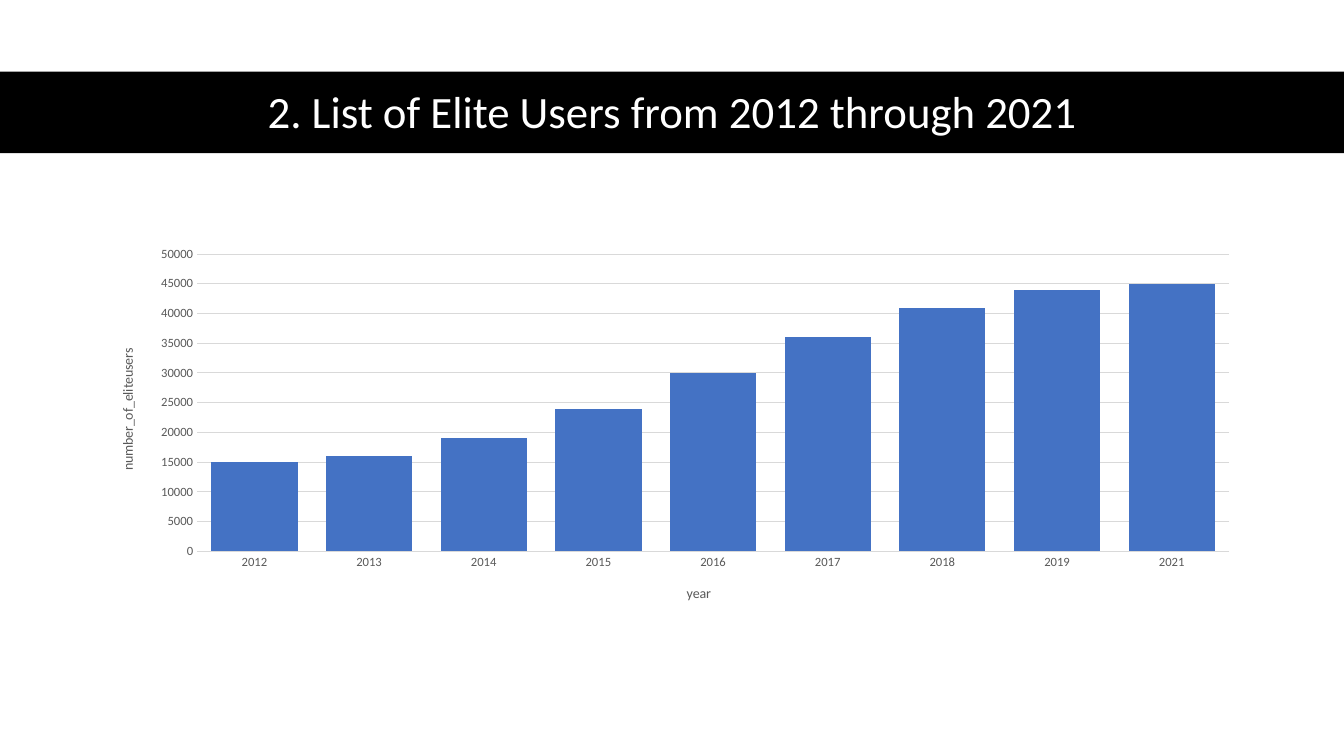
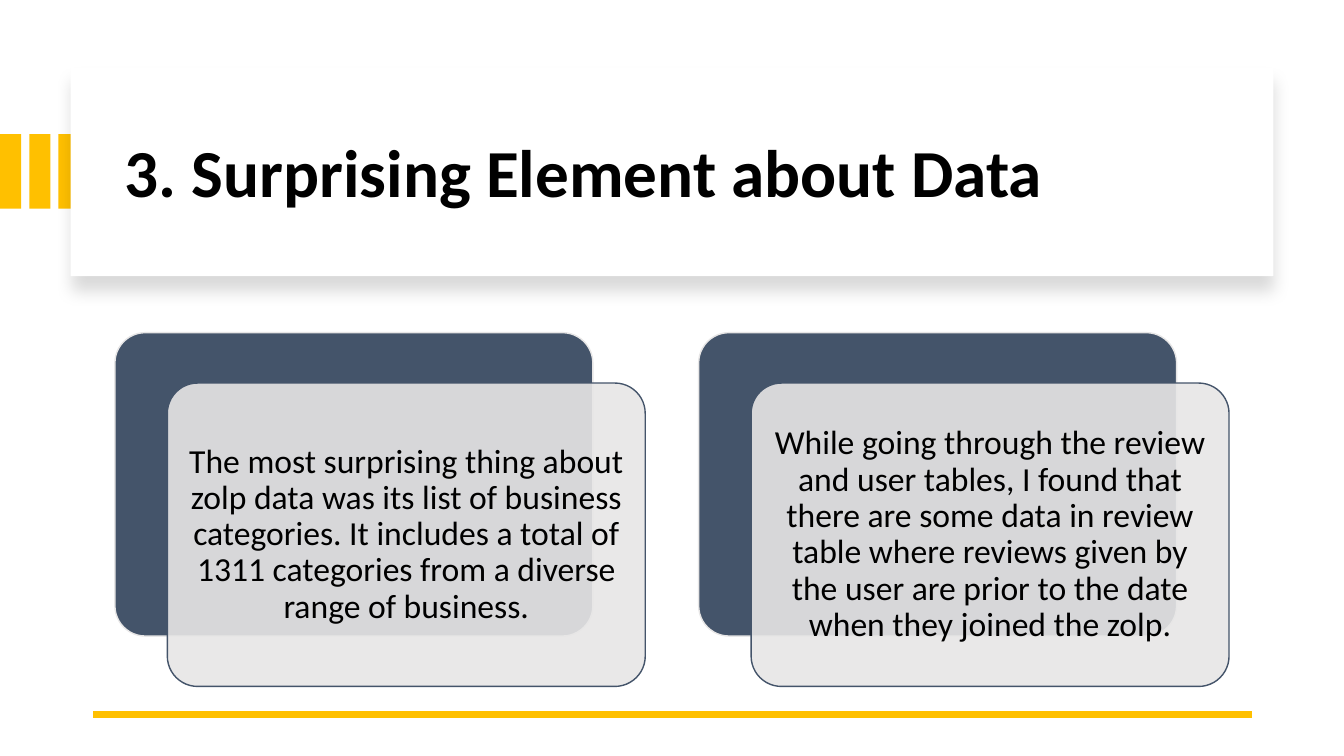
from lxml import etree
from pptx import Presentation
from pptx.chart.data import CategoryChartData as Data
from pptx.dml.color import RGBColor as RGB
from pptx.enum.chart import XL_CHART_TYPE as Kind, XL_TICK_MARK as Tick
from pptx.enum.shapes import MSO_CONNECTOR as Line, MSO_SHAPE as Form
from pptx.enum.text import MSO_ANCHOR as Anchor, PP_ALIGN as Align
from pptx.oxml import parse_xml
from pptx.oxml.ns import nsdecls, qn
from pptx.util import Pt

# Content
ELITE = "2. List of Elite Users from 2012 through 2021"
USERS = [("2012", 15000), ("2013", 16000), ("2014", 19000),
         ("2015", 24000), ("2016", 30000), ("2017", 36000),
         ("2018", 41000), ("2019", 44000), ("2021", 45000)]
SURPRISE = "3. Surprising Element about Data"
FACTS = [
    "The most surprising thing about zolp data was its list of business "
    "categories. It includes a total of 1311 categories from a diverse "
    "range of business.",
    "While going through the review and user tables, I found that there are "
    "some data in review table where reviews given by the user are prior to "
    "the date when they joined the zolp.",
]

# Shared style
FONT = "Calibri"
HUES = {"black": "000000", "white": "FFFFFF", "gold": "FFC000",
        "navy": "44546A", "pale": "E7E6E6", "blue": "4472C4",
        "gray": "595959", "grid": "D9D9D9"}
PX = 9144  # 100 px to the inch
WIDE, HIGH = 1333, 750


def px(*nums):
    return [n * PX for n in nums]


def hue(name):
    return RGB.from_string(HUES[name])


def style(font, size, color, bold=False):
    font.name, font.size, font.bold = FONT, Pt(size), bold
    font.color.rgb = hue(color)


def write(shape, text, size=24, color="black", bold=False,
          align=Align.CENTER, pad=(10, 5)):
    frame = shape.text_frame
    frame.word_wrap = True
    frame.vertical_anchor = Anchor.MIDDLE
    frame.margin_left = frame.margin_right = pad[0] * PX
    frame.margin_top = frame.margin_bottom = pad[1] * PX
    para = frame.paragraphs[0]
    para.alignment, para.line_spacing = align, 0.9
    run = para.add_run()
    run.text = text
    style(run.font, size, color, bold)


def title(slide, box, text, **fmt):
    write(slide.shapes.add_textbox(*px(*box)), text, **fmt)


def block(slide, box, fill, line=None, form=Form.RECTANGLE, alpha=None):
    shape = slide.shapes.add_shape(form, *px(*box))
    shape.shadow.inherit = False
    shape.fill.solid()
    shape.fill.fore_color.rgb = hue(fill)
    if alpha:
        tint = shape.fill._xPr.find(".//" + qn("a:srgbClr"))
        etree.SubElement(tint, qn("a:alpha")).set("val", str(alpha * 1000))
    if line:
        shape.line.color.rgb = hue(line)
        shape.line.width = Pt(1)
    else:
        shape.line.fill.background()
    if form == Form.ROUNDED_RECTANGLE:
        shape.adjustments[0] = 0.1
    return shape


def place(node, index, **spots):
    """Give a chart part a fixed layout, as fractions of the chart."""
    for old in node.findall(qn("c:layout")):
        node.remove(old)
    inner = '<c:layoutTarget val="inner"/>' if "w" in spots else ""
    modes = "".join(f'<c:{k}Mode val="edge"/>' for k in spots if k in "xy")
    vals = "".join(f'<c:{k} val="{v}"/>' for k, v in spots.items())
    node.insert(index, parse_xml(
        f'<c:layout {nsdecls("c")}><c:manualLayout>{inner}{modes}{vals}'
        '</c:manualLayout></c:layout>'))


def name_axis(axis, text, x, y):
    axis.major_tick_mark = axis.minor_tick_mark = Tick.NONE
    style(axis.tick_labels.font, 9, "gray")
    frame = axis.axis_title.text_frame
    frame.text = text
    style(frame.paragraphs[0].runs[0].font, 10, "gray")
    place(axis.axis_title._element, 1, x=x, y=y)


def user_slide(slide):
    block(slide, (0, 71, WIDE, 81), "black")
    title(slide, (92, 74, 1150, 78), ELITE, size=32, color="white")

    # Column chart
    data = Data()
    data.categories = [year for year, _ in USERS]
    data.add_series("Series 1", [count for _, count in USERS])
    chart = slide.shapes.add_chart(
        Kind.COLUMN_CLUSTERED, *px(92, 237, 1150, 378), data).chart
    chart.has_legend = chart.has_title = False
    style(chart.font, 10, "black")
    plot = chart.plots[0]
    plot.gap_width, plot.overlap, plot.vary_by_categories = 33, -30, False
    fill = plot.series[0].format.fill
    fill.solid()
    fill.fore_color.rgb = hue("blue")
    place(chart.element.find(".//" + qn("c:plotArea")), 0,
          x=0.09, y=0.04, w=0.89, h=0.78)

    # Axes
    years, counts = chart.category_axis, chart.value_axis
    name_axis(years, "year", 0.51, 0.9)
    name_axis(counts, "number_of_eliteusers", 0.02, 0.28)
    counts.minimum_scale, counts.maximum_scale = 0, 50000
    counts.major_unit = 5000
    counts.format.line.fill.background()
    for line in (years.format.line, counts.major_gridlines.format.line):
        line.color.rgb = hue("grid")
        line.width = Pt(0.75)


def fact_slide(slide):
    # Gold bars behind the title card
    for i in range(3):
        block(slide, (29 * i, 133, 21, 74), "gold")
    card = block(slide, (70, 67, 1193, 207), "white")
    glow = card._element.spPr.find(qn("a:effectLst"))
    glow.append(parse_xml(
        f'<a:outerShdw {nsdecls("a")} blurRad="{Pt(11)}" dist="{Pt(10)}" '
        'dir="5400000" algn="t" rotWithShape="0"><a:srgbClr val="000000">'
        '<a:alpha val="15000"/></a:srgbClr></a:outerShdw>'))
    title(slide, (114, 89, 1113, 170), SURPRISE, size=48, bold=True,
          align=Align.LEFT)

    # Gold rule
    rule = slide.shapes.add_connector(Line.STRAIGHT, *px(1242, 709, 92, 709))
    rule.line.color.rgb = hue("gold")
    rule.line.width = Pt(4.5)
    etree.SubElement(rule._element.spPr, qn("a:effectLst"))

    # Fact panels, each over an offset backing
    for i, fact in enumerate(FACTS):
        left, top, size = 114 + 579 * i, 330, (474, 301)
        block(slide, (left, top, *size), "navy", "pale",
              Form.ROUNDED_RECTANGLE)
        panel = block(slide, (left + 52, top + 50, *size), "pale", "navy",
                      Form.ROUNDED_RECTANGLE, alpha=90)
        write(panel, fact, pad=(10, 10))


def main():
    deck = Presentation()
    deck.slide_width, deck.slide_height = px(WIDE, HIGH)
    for build in (user_slide, fact_slide):
        build(deck.slides.add_slide(deck.slide_layouts[6]))
    deck.save("out.pptx")


if __name__ == "__main__":
    main()
